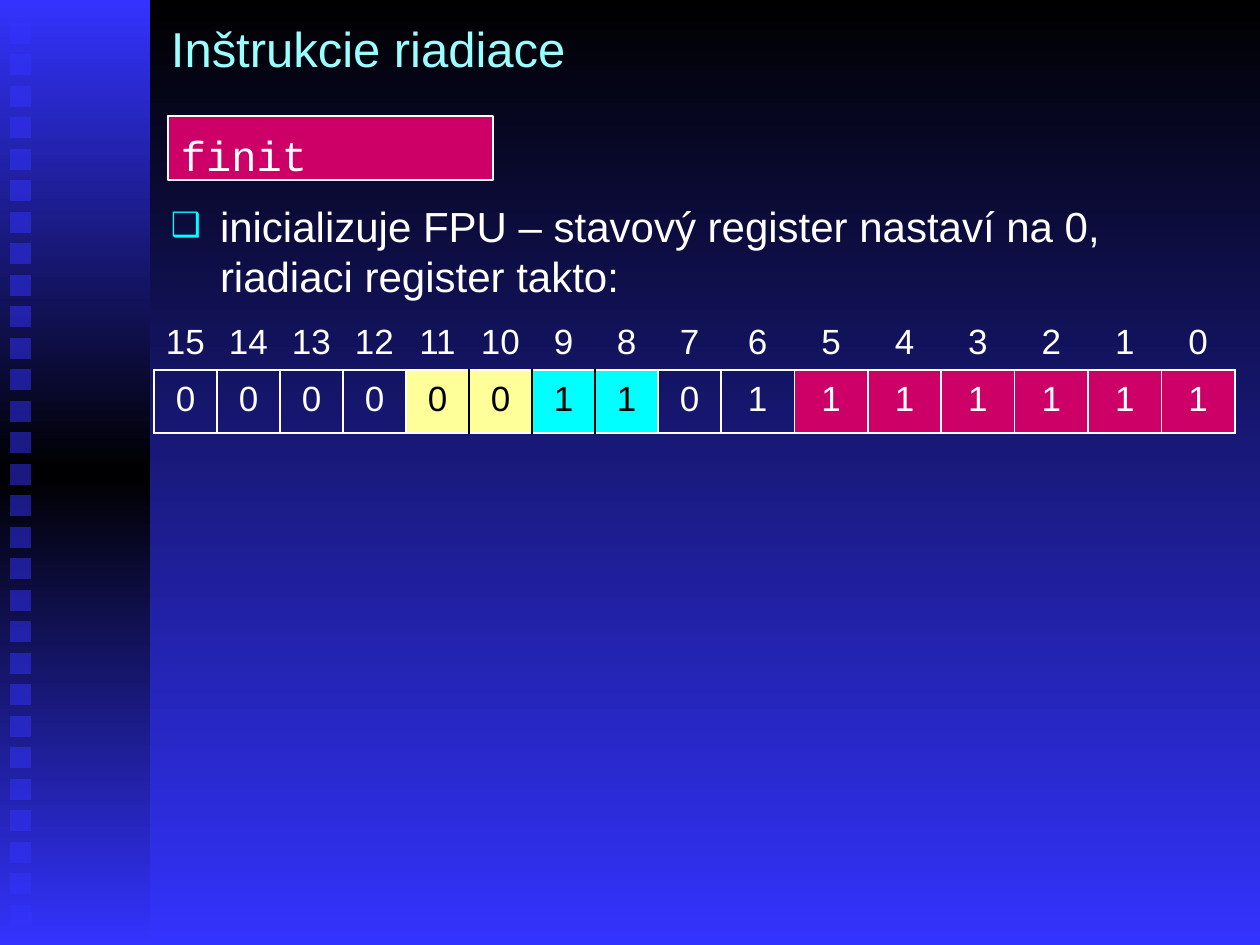
"""Builds the slide on the finit control instruction and the FPU control register."""
from copy import deepcopy

from lxml import etree
from pptx import Presentation
from pptx import util as u
from pptx.dml.color import RGBColor
from pptx.enum import shapes, text
from pptx.oxml.ns import qn

BLACK = RGBColor(0x00, 0x00, 0x00)
WHITE = RGBColor(0xFF, 0xFF, 0xFF)
BLUE = RGBColor(0x33, 0x33, 0xFF)
PINK = RGBColor(0xCC, 0x00, 0x66)
CYAN = RGBColor(0x00, 0xFF, 0xFF)
PALE_CYAN = RGBColor(0x99, 0xFF, 0xFF)
YELLOW = RGBColor(0xFF, 0xFF, 0x99)

TITLE = "Inštrukcie riadiace"
INSTRUCTION = "finit"
DESCRIPTION = "inicializuje FPU – stavový register nastaví na 0, riadiaci register takto:"
FIELDS = [
    ("0000", None, WHITE),
    ("00", YELLOW, BLACK),
    ("11", CYAN, BLACK),
    ("01", None, WHITE),
    ("111111", PINK, WHITE),
]
BITS = [(bit, fill, ink) for bits, fill, ink in FIELDS for bit in bits]
NARROW_COLUMNS, NARROW_WIDTH, WIDE_TOTAL = 9, 63, 514
SQUARES, SQUARE_SPAN = 29, 882
NO_STYLE = "{2D5ABB26-0587-4C30-8999-92F81FD0307C}"


def px(length):
    return u.Emu(round(length * 914400 / 126))


def place(shape, left, top, width, height):
    shape.left, shape.top, shape.width, shape.height = map(px, (left, top, width, height))


def set_margins(target, left, top, right, bottom):
    target.margin_left, target.margin_top = px(left), px(top)
    target.margin_right, target.margin_bottom = px(right), px(bottom)


def add_rectangle(shape_tree, left, top, width, height):
    shape = shape_tree.add_shape(shapes.MSO_SHAPE.RECTANGLE, *map(px, (left, top, width, height)))
    shape.shadow.inherit = False
    shape.line.fill.background()
    return shape


def style(paragraph, size, color, font="Arial", align=text.PP_ALIGN.LEFT):
    paragraph.alignment = align
    paragraph.space_before = u.Pt(0)
    paragraph.font.name, paragraph.font.size = font, u.Pt(size)
    paragraph.font.color.rgb = color


def fill_frame(shape, wording, anchor, margins):
    frame = shape.text_frame
    frame.text = wording
    frame.word_wrap = True
    frame.auto_size = text.MSO_AUTO_SIZE.NONE
    frame.vertical_anchor = anchor
    set_margins(frame, *margins)
    return frame.paragraphs[0]


def color_stops(fill, colors):
    fill.gradient_angle = 270
    for index, (stop, color) in enumerate(zip(fill.gradient_stops, colors)):
        stop.position = index / (len(colors) - 1)
        stop.color.rgb = color


def add_side_band(slide):
    band = add_rectangle(slide.shapes, 0, 0, 150, 945)
    band.fill.gradient()
    stops = band._element.spPr.find(".//" + qn("a:gsLst"))
    stops.insert(1, deepcopy(stops[0]))
    color_stops(band.fill, [BLUE, BLACK, BLUE])
    group = slide.shapes.add_group_shape()
    for index in range(SQUARES):
        top = 23 + SQUARE_SPAN * index // (SQUARES - 1)
        square = add_rectangle(group.shapes, 10, top, 21, 21)
        square.fill.solid()
        square.fill.fore_color.rgb = BLUE
        color = square._element.spPr.find(".//" + qn("a:srgbClr"))
        etree.SubElement(color, qn("a:alpha"), val="50000")


def add_bullet(paragraph):
    properties = paragraph._p.get_or_add_pPr()
    properties.set("marL", str(px(49)))
    properties.set("indent", str(px(-49)))
    color = etree.SubElement(properties, qn("a:buClr"))
    etree.SubElement(color, qn("a:srgbClr"), val=str(CYAN))
    etree.SubElement(properties, qn("a:buSzPct"), val="80000")
    etree.SubElement(properties, qn("a:buFont"), typeface="Arial")
    etree.SubElement(properties, qn("a:buChar"), char="❑")


def set_borders(cell, borders):
    properties = cell._tc.get_or_add_tcPr()
    for side, color in borders:
        line = etree.SubElement(properties, qn("a:ln" + side), w=str(u.Pt(1)))
        fill = etree.SubElement(line, qn("a:solidFill"))
        etree.SubElement(fill, qn("a:srgbClr"), val=str(color))


def fill_cell(cell, wording, ink, fill, margins, borders):
    cell.text = wording
    set_margins(cell, *margins)
    style(cell.text_frame.paragraphs[0], 20, ink, align=text.PP_ALIGN.CENTER)
    set_borders(cell, borders)
    if fill is None:
        cell.fill.background()
    else:
        cell.fill.solid()
        cell.fill.fore_color.rgb = fill


def add_register(slide):
    count = len(BITS)
    width = NARROW_COLUMNS * NARROW_WIDTH + WIDE_TOTAL
    frame = slide.shapes.add_table(2, count, *map(px, (154, 317, width, 116)))
    table = frame.table
    table.first_row = table.horz_banding = False
    table._tbl.tblPr.find(qn("a:tableStyleId")).text = NO_STYLE
    table.rows[0].height, table.rows[1].height = px(53), px(63)
    wide_width = WIDE_TOTAL / (count - NARROW_COLUMNS)
    inks = [WHITE] + [ink for _, _, ink in BITS] + [WHITE]
    edges = [BLACK if left == right == BLACK else WHITE for left, right in zip(inks, inks[1:])]
    for index, (bit, fill, ink) in enumerate(BITS):
        table.columns[index].width = px(NARROW_WIDTH if index < NARROW_COLUMNS else wide_width)
        fill_cell(table.cell(0, index), str(count - 1 - index), WHITE, None,
                  (5, 6, 5, 0), [("B", WHITE)])
        fill_cell(table.cell(1, index), bit, ink, fill, (5, 10, 5, 6),
                  [("L", edges[index]), ("R", edges[index + 1]), ("T", WHITE), ("B", WHITE)])


def main():
    presentation = Presentation()
    presentation.slide_width, presentation.slide_height = px(1260), px(945)
    slide = presentation.slides.add_slide(presentation.slide_layouts[1])
    background = slide.background.fill
    background.gradient()
    color_stops(background, [BLACK, BLUE])
    add_side_band(slide)

    title, body = slide.placeholders
    place(title, 158, 0, 1071, 95)
    style(fill_frame(title, TITLE, text.MSO_ANCHOR.MIDDLE, (13, 6, 13, 6)), 28, PALE_CYAN)

    box = add_rectangle(slide.shapes, 168, 116, 325, 64)
    box.fill.solid()
    box.fill.fore_color.rgb = PINK
    box.line.color.rgb = WHITE
    box.line.width = u.Pt(0.75)
    instruction = fill_frame(box, INSTRUCTION, text.MSO_ANCHOR.TOP, (13, 14, 13, 0))
    style(instruction, 24, WHITE, "Courier New")

    place(body, 158, 189, 1029, 115)
    description = fill_frame(body, DESCRIPTION, text.MSO_ANCHOR.TOP, (13, 11, 13, 0))
    add_bullet(description)
    style(description, 24, WHITE)

    add_register(slide)
    presentation.save("out.pptx")


if __name__ == "__main__":
    main()
